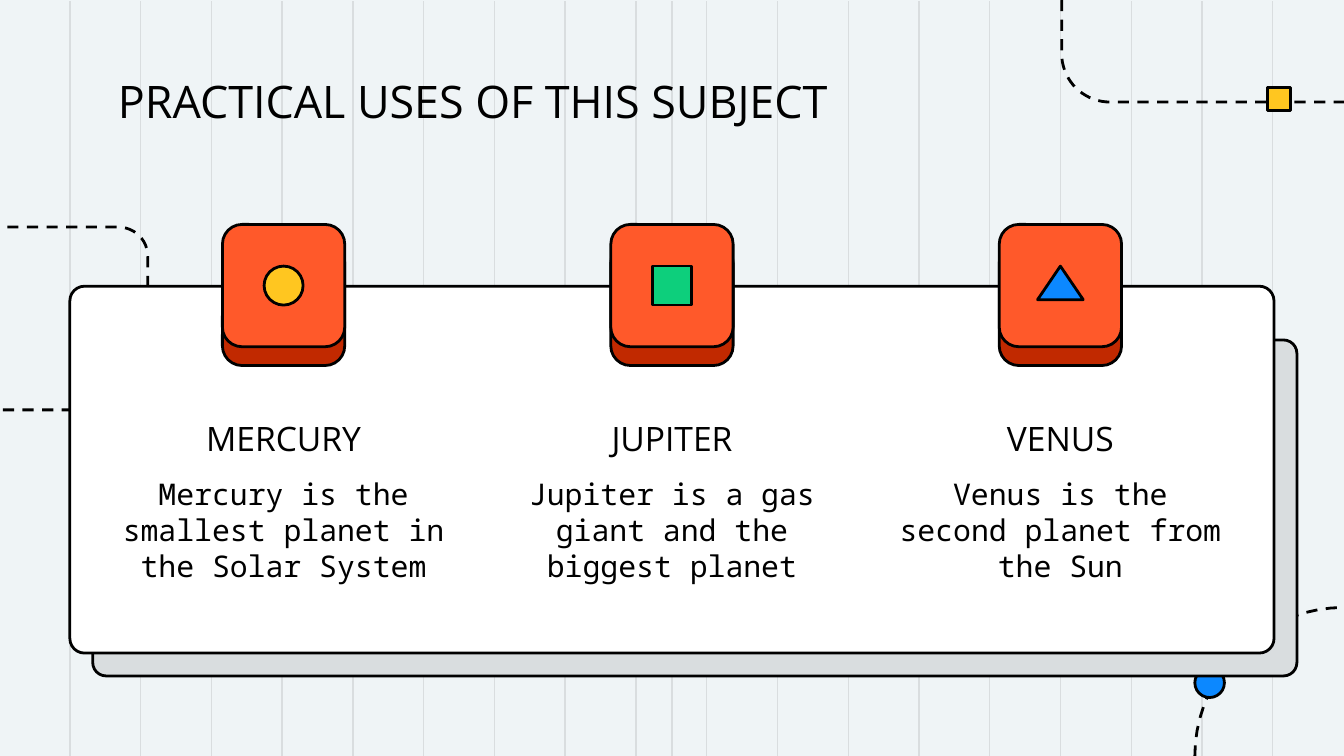
"""Build the slide on practical uses, with three planets on a card."""
import math

import pptx
import pptx.dml.color
import pptx.enum.dml
import pptx.enum.shapes
import pptx.enum.text
import pptx.oxml
import pptx.util

Inches = pptx.util.Inches
Pt = pptx.util.Pt
RGBColor = pptx.dml.color.RGBColor
MSO_SHAPE = pptx.enum.shapes.MSO_SHAPE
PP_ALIGN = pptx.enum.text.PP_ALIGN
MSO_ANCHOR = pptx.enum.text.MSO_ANCHOR
DASH = pptx.enum.dml.MSO_LINE.DASH

BLACK = RGBColor(0x00, 0x00, 0x00)
WHITE = RGBColor(0xFF, 0xFF, 0xFF)
PALE = RGBColor(0xEF, 0xF4, 0xF6)
GREY = RGBColor(0xD9, 0xDD, 0xDF)
ORANGE = RGBColor(0xFF, 0x59, 0x2A)
RUST = RGBColor(0xC1, 0x29, 0x00)
YELLOW = RGBColor(0xFF, 0xC6, 0x20)
GREEN = RGBColor(0x0D, 0xCF, 0x7C)
BLUE = RGBColor(0x0C, 0x88, 0xFF)

prs = pptx.Presentation()
prs.slide_width = Inches(10)
prs.slide_height = Inches(10) * 9 // 16
s = prs.slides.add_slide(prs.slide_layouts[6])
s.background.fill.solid()
s.background.fill.fore_color.rgb = PALE


def add_outlined(kind, x, y, w, h, fill=None, radius=None):
    sp = s.shapes.add_shape(kind, Inches(x), Inches(y), Inches(w), Inches(h))
    sp.shadow.inherit = False
    if radius is not None:
        sp.adjustments[0] = radius
    if fill is None:
        sp.fill.background()
        sp.line.dash_style = DASH
    else:
        sp.fill.solid()
        sp.fill.fore_color.rgb = fill
    sp.line.color.rgb = BLACK
    sp.line.width = Pt(1.5)


def add_text(x, y, w, h, text, size, font, align, anchor):
    tf = s.shapes.add_textbox(Inches(x), Inches(y), Inches(w), Inches(h)).text_frame
    tf.word_wrap = True
    tf.vertical_anchor = anchor
    tf.margin_left = tf.margin_right = tf.margin_top = tf.margin_bottom = Inches(0.1)
    tf.text = text
    p = tf.paragraphs[0]
    p.alignment = align
    r = p.runs[0]
    r.font.size = Pt(size)
    r.font.name = font
    r.font.color.rgb = BLACK


for x in [0.52 + 8.95 * i / 17 for i in range(18)] + [5]:
    rule = s.shapes.add_connector(
        pptx.enum.shapes.MSO_CONNECTOR.STRAIGHT,
        Inches(x), Inches(0.01), Inches(x), prs.slide_height)
    rule.line.color.rgb = GREY
    rule.line.width = Pt(0.75)
    rule._element.spPr.append(pptx.oxml.parse_xml(
        '<a:effectLst xmlns:a="http://schemas.openxmlformats.org/drawingml/2006/main"/>'))

add_outlined(MSO_SHAPE.ROUNDED_RECTANGLE, -0.26, 1.69, 1.36, 1.36, radius=0.16)

angles = [math.radians(180 + 5 * i) for i in range(19)]
bottom_trail = [(10 + 1.11 * math.cos(a), 5.63 + 1.11 * math.sin(a)) for a in angles]
top_bend = [(8.26 + 0.36 * math.cos(a), 0.4 - 0.36 * math.sin(a)) for a in angles]
top_trail = [(7.9, 0)] + top_bend + [(10, 0.76)]
for trail in (bottom_trail, top_trail):
    points = [(Inches(x), Inches(y)) for x, y in trail]
    builder = s.shapes.build_freeform(*points[0])
    builder.add_line_segments(points[1:], close=False)
    sp = builder.convert_to_shape()
    sp.shadow.inherit = False
    sp.fill.background()
    sp.line.color.rgb = BLACK
    sp.line.width = Pt(1.5)
    sp.line.dash_style = DASH

add_outlined(MSO_SHAPE.OVAL, 8.89, 4.97, 0.22, 0.22, BLUE)
add_outlined(MSO_SHAPE.ROUNDED_RECTANGLE, 0.69, 2.53, 8.96, 2.5, GREY, 0.04)
add_outlined(MSO_SHAPE.ROUNDED_RECTANGLE, 0.52, 2.13, 8.96, 2.73, WHITE, 0.04)
add_outlined(MSO_SHAPE.RECTANGLE, 9.43, 0.65, 0.17, 0.17, YELLOW)

add_text(0.78, 0.42, 8.44, 0.63, "PRACTICAL USES OF THIS SUBJECT", 24, "Open Sans",
         PP_ALIGN.LEFT, MSO_ANCHOR.BOTTOM)

planets = [
    ("MERCURY", "Mercury is the smallest planet in the Solar System",
     MSO_SHAPE.OVAL, 0.29, 0.29, YELLOW),
    ("JUPITER", "Jupiter is a gas giant and the biggest planet",
     MSO_SHAPE.RECTANGLE, 0.29, 0.29, GREEN),
    ("VENUS", "Venus is the second planet from the Sun",
     MSO_SHAPE.ISOSCELES_TRIANGLE, 0.34, 0.25, BLUE),
]
for i, (name, fact, icon, w, h, color) in enumerate(planets):
    center = 5 + 2.89 * (i - 1)
    left = center - 1.325
    add_text(left, 3.02, 2.65, 0.48, name, 18, "Open Sans",
             PP_ALIGN.CENTER, MSO_ANCHOR.MIDDLE)
    add_text(left, 3.44, 2.65, 1.11, fact, 16, "Noto Sans Mono",
             PP_ALIGN.CENTER, MSO_ANCHOR.TOP)
    for top, fill in ((1.81, RUST), (1.67, ORANGE)):
        add_outlined(MSO_SHAPE.ROUNDED_RECTANGLE, center - 0.455, top, 0.91, 0.91, fill, 0.16)
    add_outlined(icon, center - w / 2, 1.98, w, h, color)

prs.save("out.pptx")
